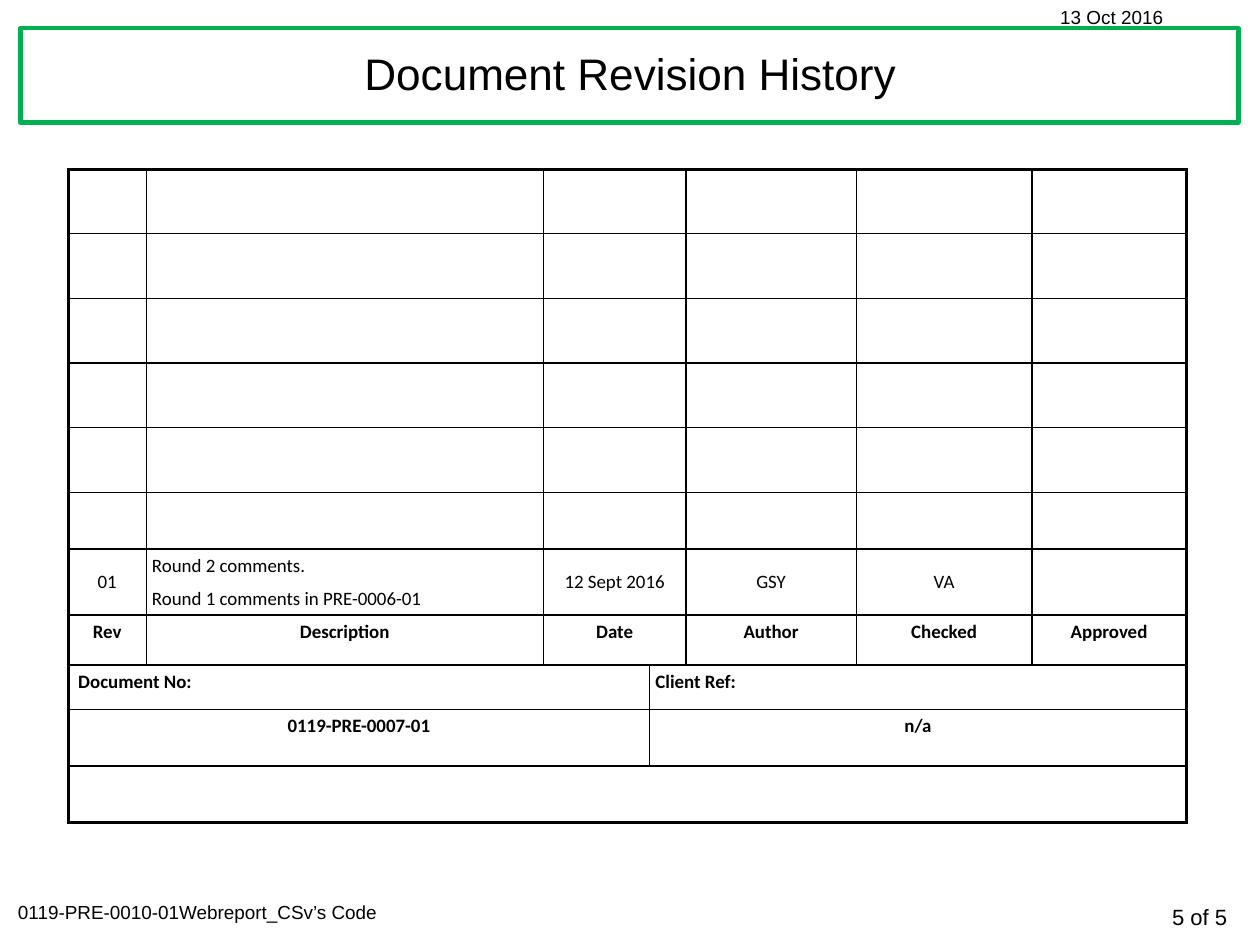
import pptx
import pptx.util
import pptx.dml.color
import pptx.enum.shapes
import pptx.enum.text
import pptx.oxml

Inches = pptx.util.Inches
Pt = pptx.util.Pt
Align = pptx.enum.text.PP_ALIGN
Anchor = pptx.enum.text.MSO_ANCHOR
COLORS = {"ink": "000000", "paper": "FFFFFF", "frame": "00B050"}


def color(name):
    return pptx.dml.color.RGBColor.from_string(COLORS[name])


def write(frame, text, size, font, align, bold=False):
    frame.text = text
    for index, para in enumerate(frame.paragraphs):
        para.alignment = align
        if index:
            para.space_before = Pt(6)
        para.font.size = Pt(size)
        para.font.name = font
        para.font.bold = bold
        para.font.color.rgb = color("ink")


deck = pptx.Presentation()
deck.slide_width = Inches(11.11)
deck.slide_height = Inches(8.33)
page = deck.slides.add_slide(deck.slide_layouts[6])

title_frame = page.shapes.add_shape(
    pptx.enum.shapes.MSO_SHAPE.RECTANGLE,
    Inches(0.18), Inches(0.25), Inches(10.74), Inches(0.83))
title_frame.shadow.inherit = False
title_frame.fill.solid()
title_frame.fill.fore_color.rgb = color("paper")
title_frame.line.color.rgb = color("frame")
title_frame.line.width = Pt(2.75)

labels = [
    ("5 of 5", 9.4, 7.91, 1.52, 0.34, 14, Align.RIGHT),
    ("0119-PRE-0010-01Webreport_CSv’s Code", 0.06, 7.89, 3.99, 0.3, 12, Align.LEFT),
    ("13 Oct 2016", 9.25, 0, 1.68, 0.3, 12, Align.LEFT),
    ("Document Revision History", 0.21, 0.25, 10.69, 0.78, 28, Align.CENTER),
]
for text, left, top, width, height, size, align in labels:
    box = page.shapes.add_textbox(
        Inches(left), Inches(top), Inches(width), Inches(height))
    box.text_frame.word_wrap = True
    box.text_frame.vertical_anchor = Anchor.MIDDLE
    write(box.text_frame, text, size, "Arial", align)

column_widths = [0.69, 3.5, 0.94, 0.32, 1.5, 1.55, 1.36]
row_heights = [0.57] * 5 + [0.5, 0.58, 0.44, 0.39, 0.5, 0.5]
row_count, column_count = len(row_heights), len(column_widths)
history = page.shapes.add_table(
    row_count, column_count, Inches(0.6), Inches(1.49),
    Inches(sum(column_widths)), Inches(sum(row_heights))).table
history.first_row = False
history.horz_banding = False
for column, width in zip(history.columns, column_widths):
    column.width = Inches(width)
for row, height in zip(history.rows, row_heights):
    row.height = Inches(height)

merges = [(row, 2, 3) for row in range(8)]
merges += [(row, first, last) for row in (8, 9) for first, last in ((0, 2), (3, 6))]
merges.append((10, 0, 6))
for row, first, last in merges:
    history.cell(row, first).merge(history.cell(row, last))

entries = {
    6: {0: "01", 1: "Round 2 comments.\nRound 1 comments in PRE-0006-01",
        2: "12 Sept 2016", 4: "GSY", 5: "VA"},
    7: {0: "Rev", 1: "Description", 2: "Date", 4: "Author", 5: "Checked", 6: "Approved"},
    8: {0: "Document No:", 3: "Client Ref:"},
    9: {0: "0119-PRE-0007-01", 3: "n/a"},
}
left_aligned = [(6, 1), (8, 0), (8, 3)]

for row in range(row_count):
    for column in range(column_count):
        cell = history.cell(row, column)
        cell.margin_left = cell.margin_right = Inches(0.05)
        cell.margin_top = cell.margin_bottom = Inches(0.05)
        text = entries.get(row, {}).get(column)
        if text:
            cell.vertical_anchor = Anchor.MIDDLE if row == 6 else Anchor.TOP
            align = Align.LEFT if (row, column) in left_aligned else Align.CENTER
            write(cell.text_frame, text, 12, "Calibri", align, bold=row > 6)
        span = cell.span_width if cell.is_merge_origin else 1
        outer_edges = {
            "lnL": column == 0,
            "lnR": column + span == column_count,
            "lnT": row == 0,
            "lnB": row == row_count - 1,
        }
        properties = cell._tc.get_or_add_tcPr()
        for edge, outer in outer_edges.items():
            weight = Pt(2.25 if outer else 1)
            properties.append(pptx.oxml.parse_xml(
                f'<a:{edge} xmlns:a="http://schemas.openxmlformats.org/drawingml/2006/main" '
                f'w="{weight}"><a:solidFill><a:srgbClr val="{COLORS["ink"]}"/>'
                f'</a:solidFill></a:{edge}>'))
        cell.fill.background()

history.cell(8, 0).margin_left = Inches(0.09)

deck.save("out.pptx")
